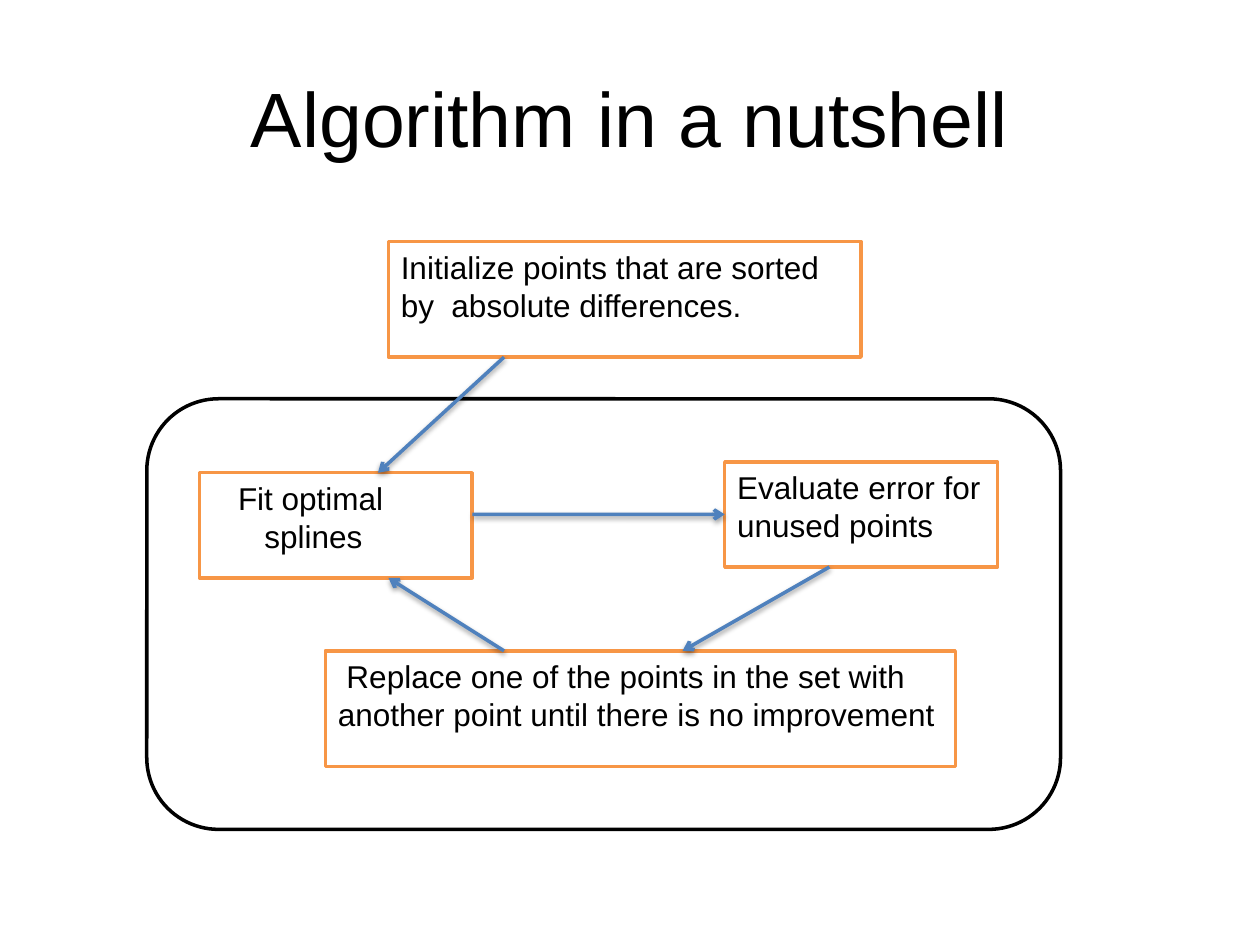
import pptx
import pptx.dml.color
import pptx.enum.shapes
import pptx.enum.text
import pptx.oxml
import pptx.oxml.ns
import pptx.util

Cm, Pt = pptx.util.Cm, pptx.util.Pt
SHAPE = pptx.enum.shapes.MSO_SHAPE
ALIGN = pptx.enum.text.PP_ALIGN
ANCHOR = pptx.enum.text.MSO_ANCHOR
COLORS = {"text": "000000", "box": "FFFFFF", "border": "F79646",
          "frame": "000000", "arrow": "4F81BD"}
SHADOW = (
    f'<a:effectLst {pptx.oxml.ns.nsdecls("a")}>'
    f'<a:outerShdw blurRad="{Pt(3.1)}" dist="{Pt(1.6)}" dir="5400000" rotWithShape="0">'
    '<a:srgbClr val="000000"><a:alpha val="38000"/></a:srgbClr>'
    '</a:outerShdw></a:effectLst>')
ARROWHEAD = f'<a:tailEnd {pptx.oxml.ns.nsdecls("a")} type="arrow"/>'


def rgb(name):
    return pptx.dml.color.RGBColor.from_string(COLORS[name])


def write(tf, lines, size, align):
    """Fill a text frame with (text, left indent in cm) paragraphs."""
    tf.word_wrap = True
    for i, (text, indent) in enumerate(lines):
        p = tf.add_paragraph() if i else tf.paragraphs[0]
        p.text = text
        p.alignment = align
        p.font.name = "Arial"
        p.font.size = Pt(size)
        p.font.color.rgb = rgb("text")
        if indent:
            p._p.get_or_add_pPr().set("marL", str(Cm(indent)))


prs = pptx.Presentation()
prs.slide_width, prs.slide_height = Cm(25.4), Cm(19.05)
s = prs.slides.add_slide(prs.slide_layouts[6])

title = s.shapes.add_textbox(Cm(1.27), Cm(0.76), Cm(22.86), Cm(3.18))
title.text_frame.vertical_anchor = ANCHOR.MIDDLE
write(title.text_frame, [("Algorithm in a nutshell", 0)], 44, ALIGN.CENTER)

# Steps: left, top, width, height in cm, then the paragraphs
steps = {
    "fit": (4.02, 9.53, 5.5, 2.12, [("Fit optimal", 0.53), ("splines", 1.06)]),
    "initialize": (7.83, 4.87, 9.53, 2.33, [
        ("Initialize points that are sorted by  absolute differences.", 0)]),
    "evaluate": (14.61, 9.31, 5.5, 2.12, [("Evaluate error for unused points", 0)]),
    "replace": (6.56, 13.12, 12.7, 2.33, [
        (" Replace one of the points in the set with another point "
         "until there is no improvement", 0)]),
}
boxes = {}
for name, (left, top, width, height, lines) in steps.items():
    sp = s.shapes.add_shape(SHAPE.RECTANGLE, Cm(left), Cm(top), Cm(width), Cm(height))
    sp.shadow.inherit = False
    sp.fill.solid()
    sp.fill.fore_color.rgb = rgb("box")
    sp.line.color.rgb = rgb("border")
    sp.line.width = Pt(2)
    sp.text_frame.vertical_anchor = ANCHOR.TOP
    write(sp.text_frame, lines, 18, ALIGN.LEFT)
    boxes[name] = sp

frame = s.shapes.add_shape(SHAPE.ROUNDED_RECTANGLE, Cm(2.96), Cm(8.04), Cm(18.42), Cm(8.68))
frame.shadow.inherit = False
frame.fill.background()
frame.line.color.rgb = rgb("frame")
frame.line.width = Pt(2)

# Arrows: start x, y and end x, y in cm, then the box whose left side the end joins
arrows = [
    (10.16, 7.2, 7.62, 9.53, None),
    (9.52, 10.37, 14.61, 10.37, "evaluate"),
    (16.72, 11.43, 13.76, 13.12, None),
    (10.16, 13.12, 7.83, 11.65, None),
]
for x1, y1, x2, y2, target in arrows:
    arrow = s.shapes.add_connector(pptx.enum.shapes.MSO_CONNECTOR.STRAIGHT,
                                   Cm(x1), Cm(y1), Cm(x2), Cm(y2))
    if target:
        arrow.end_connect(boxes[target], 1)
    arrow.line.color.rgb = rgb("arrow")
    arrow.line.width = Pt(2)
    arrow.line._get_or_add_ln().append(pptx.oxml.parse_xml(ARROWHEAD))
    arrow._element.spPr.append(pptx.oxml.parse_xml(SHADOW))

prs.save("out.pptx")
